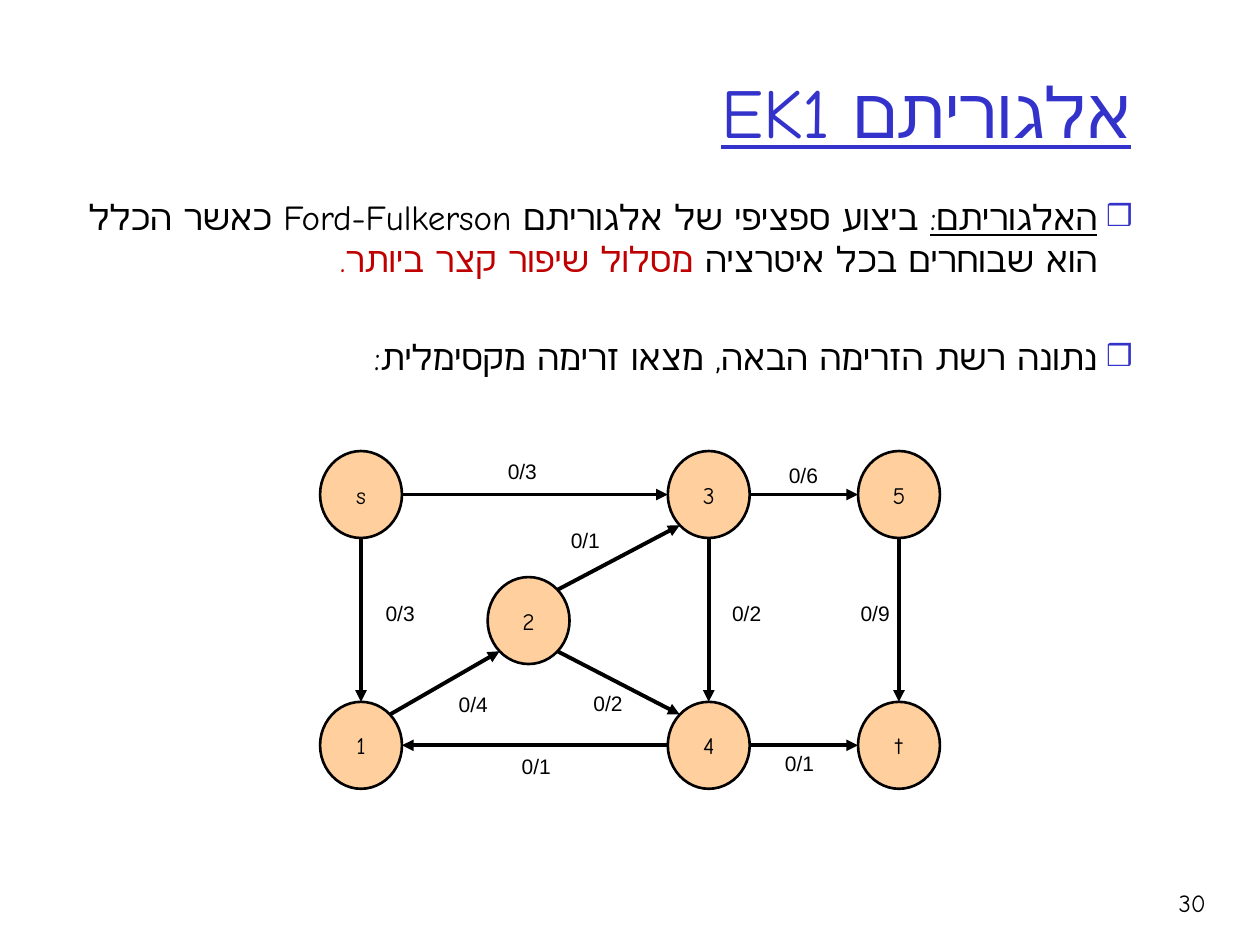
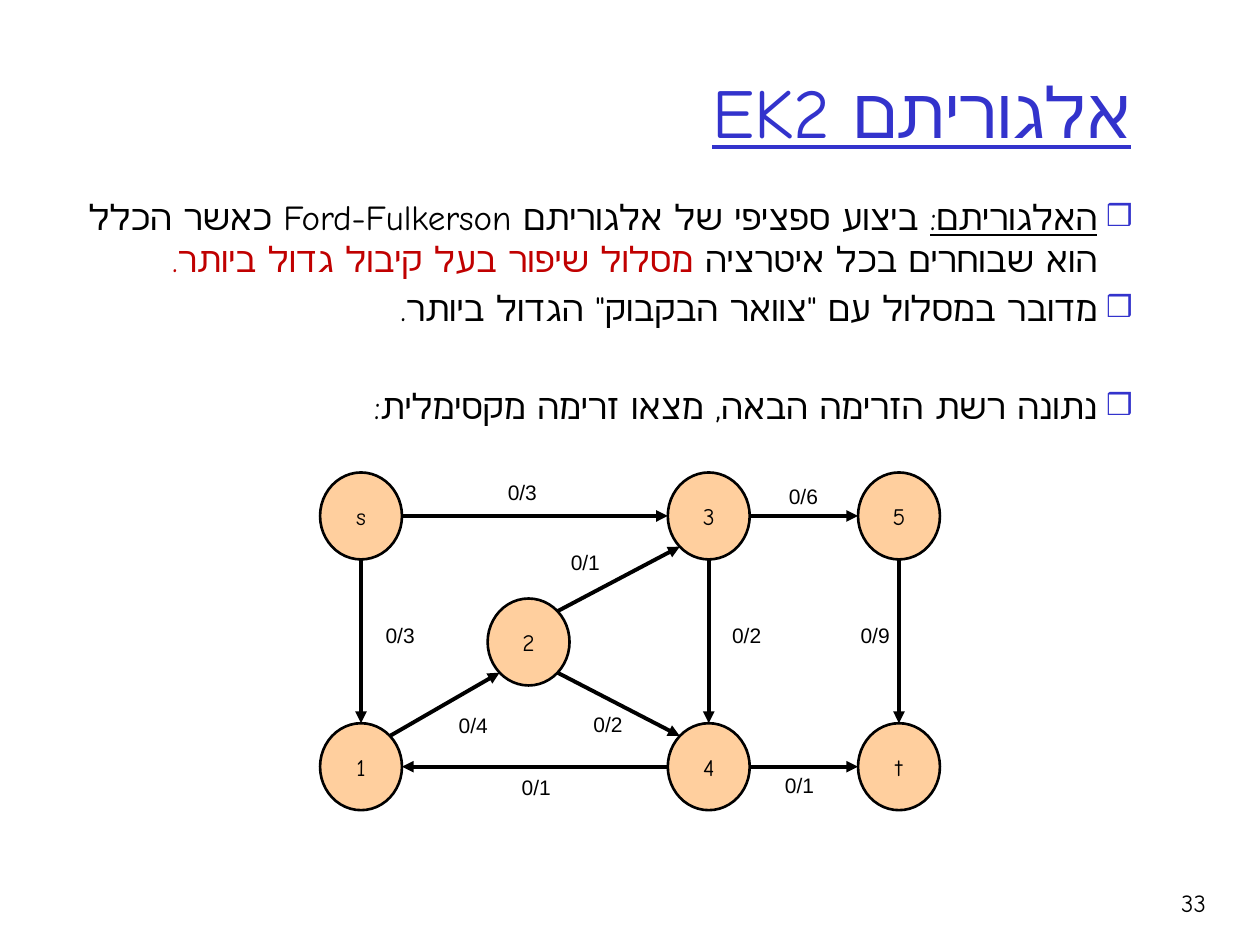
import math

import pptx
import pptx.dml.color
import pptx.enum.shapes
import pptx.enum.text
import pptx.oxml
import pptx.oxml.ns
import pptx.util
from lxml import etree

Inches, Pt = pptx.util.Inches, pptx.util.Pt
PP_ALIGN = pptx.enum.text.PP_ALIGN
ANCHOR = pptx.enum.text.MSO_ANCHOR

COLORS = {"text": "000000", "accent": "3333CC", "stress": "C00000",
          "node": "FFCF9E", "line": "000000"}
FONT, DIGIT_FONT = "Comic Neue", "Arial"

INTRO = [("האלגוריתם:", {"underline": True}),
         (" ביצוע ספציפי של אלגוריתם Ford-Fulkerson כאשר הכלל הוא שבוחרים בכל איטרציה ", {})]
TASK = [("נתונה רשת הזרימה הבאה, מצאו זרימה מקסימלית:", {})]

# Each bullet: space before in points, then its runs
SLIDES = [
    {"title": "אלגוריתם EK1", "number": "30", "network_top": 3.58,
     "bullets": [
         (0, INTRO + [("מסלול שיפור קצר ביותר.", {"color": "stress"})]),
         (32, TASK)]},
    {"title": "אלגוריתם EK2", "number": "33", "network_top": 3.75,
     "bullets": [
         (0, INTRO + [("מסלול שיפור בעל קיבול גדול ביותר.", {"color": "stress"})]),
         (4, [('מדובר במסלול עם "צוואר הבקבוק" הגדול ביותר.', {})]),
         (32, TASK)]},
]

# Flow network: column and row of each node
COLUMNS = [2.54, 3.87, 5.3, 6.81]
ROWS = [0, 1, 1.99]
NODE_WIDTH, NODE_HEIGHT = 0.65, 0.69
NODES = {"3": (2, 0), "s": (0, 0), "5": (3, 0), "t": (3, 2),
         "4": (2, 2), "1": (0, 2), "2": (1, 1)}

# Edge: start, end, flow/capacity, then left, top (from the network top) and height of its label
EDGES = [
    ("2", "4", "0/2", 4.44, 1.85, 0.67),
    ("s", "3", "0/3", 3.76, 0.01, 0.67),
    ("3", "5", "0/6", 5.99, 0.04, 0.67),
    ("4", "t", "0/1", 5.96, 2.33, 0.4),
    ("4", "1", "0/1", 3.87, 2.35, 0.4),
    ("5", "t", "0/9", 6.56, 1.14, 0.67),
    ("3", "4", "0/2", 5.54, 1.14, 0.67),
    ("1", "2", "0/4", 3.37, 1.86, 0.67),
    ("s", "1", "0/3", 2.79, 1.14, 0.67),
    ("2", "3", "0/1", 4.26, 0.56, 0.4),
]


def rgb(name):
    return pptx.dml.color.RGBColor.from_string(COLORS[name])


def add_child(parent, tag, **attributes):
    return etree.SubElement(parent, pptx.oxml.ns.qn(tag), attributes)


def write(paragraph, text, size=20, color="text", underline=False, align=PP_ALIGN.RIGHT,
          rtl=True, complex_font=FONT):
    """Append one formatted run to the paragraph."""
    paragraph.alignment = align
    if rtl:
        paragraph._p.get_or_add_pPr().set("rtl", "1")
    run = paragraph.add_run()
    run.text = text
    run.font.size = Pt(size)
    run.font.name = FONT
    run.font.underline = underline
    run.font.color.rgb = rgb(color)
    add_child(run._r.get_or_add_rPr(), "a:cs", typeface=complex_font)


def place(shape, left, top, width, height):
    shape.left, shape.top = Inches(left), Inches(top)
    shape.width, shape.height = Inches(width), Inches(height)


def add_label(slide, text, box, **style):
    label = slide.shapes.add_textbox(*map(Inches, box))
    label.text_frame.word_wrap = True
    write(label.text_frame.paragraphs[0], text, **style)


def add_bullet(paragraph, space_before, runs):
    paragraph.space_before = Pt(space_before)
    properties = paragraph._p.get_or_add_pPr()
    properties.set("marL", str(Inches(0.28)))
    properties.set("indent", str(-Inches(0.28)))
    add_child(add_child(properties, "a:buClr"), "a:srgbClr", val=COLORS["accent"])
    add_child(properties, "a:buSzPct", val="85000")
    add_child(properties, "a:buChar", char="❒")
    for text, style in runs:
        write(paragraph, text, **style)


def add_node(slide, name, top):
    column, row = NODES[name]
    node = slide.shapes.add_shape(
        pptx.enum.shapes.MSO_SHAPE.OVAL, Inches(COLUMNS[column]), Inches(top + ROWS[row]),
        Inches(NODE_WIDTH), Inches(NODE_HEIGHT))
    node.shadow.inherit = False
    node.fill.solid()
    node.fill.fore_color.rgb = rgb("node")
    node.line.color.rgb = rgb("line")
    node.line.width = Pt(1.5)
    frame = node.text_frame
    frame.word_wrap = False
    frame.vertical_anchor = ANCHOR.MIDDLE
    frame.margin_left = frame.margin_right = Inches(0.07)
    frame.margin_top = frame.margin_bottom = Inches(0.04)
    write(frame.paragraphs[0], name, size=13.5, align=PP_ALIGN.CENTER, rtl=False)


def rim_point(name, toward, top):
    """Point on a node's rim, in whichever of eight directions leads to the other node."""
    (column, row), (to_column, to_row) = NODES[name], NODES[toward]
    across = (to_column > column) - (to_column < column)
    down = (to_row > row) - (to_row < row)
    reach = 0.5 / math.hypot(across, down)
    return (Inches(COLUMNS[column] + NODE_WIDTH * (0.5 + across * reach)),
            Inches(top + ROWS[row] + NODE_HEIGHT * (0.5 + down * reach)))


def add_edge(slide, start, end, top):
    edge = slide.shapes.add_connector(
        pptx.enum.shapes.MSO_CONNECTOR.STRAIGHT,
        *rim_point(start, end, top), *rim_point(end, start, top))
    edge.line.color.rgb = rgb("line")
    edge.line.width = Pt(2.25)
    add_child(edge.line._get_or_add_ln(), "a:tailEnd", type="triangle")
    add_child(edge._element.spPr, "a:effectLst")


def add_network(slide, top):
    for name in NODES:
        add_node(slide, name, top)
    for start, end, flow, left, drop, height in EDGES:
        add_edge(slide, start, end, top)
        add_label(slide, flow, (left, top + drop, 0.6, height), size=12,
                  complex_font=DIGIT_FONT)


def add_algorithm_slide(deck, content):
    slide = deck.slides.add_slide(deck.slide_layouts[1])
    title, body = slide.shapes.title, slide.placeholders[1]
    place(title, 0.58, 0.25, 8.5, 1.25)
    place(body, 0.28, 1.5, 8.81, 6)
    for holder, anchor in ((title, ANCHOR.MIDDLE), (body, ANCHOR.TOP)):
        holder.text_frame.vertical_anchor = anchor
        holder.text_frame.auto_size = pptx.enum.text.MSO_AUTO_SIZE.NONE
    write(title.text_frame.paragraphs[0], content["title"], size=40, color="accent",
          underline=True)
    for index, (space_before, runs) in enumerate(content["bullets"]):
        frame = body.text_frame
        paragraph = frame.add_paragraph() if index else frame.paragraphs[0]
        add_bullet(paragraph, space_before, runs)
    add_label(slide, content["number"], (8.81, 7, 0.86, 0.5), size=14)
    add_network(slide, content["network_top"])


def main():
    deck = pptx.Presentation()
    deck.slide_width, deck.slide_height = Inches(10), Inches(7.5)
    for content in SLIDES:
        add_algorithm_slide(deck, content)
    deck.save("out.pptx")


if __name__ == "__main__":
    main()
